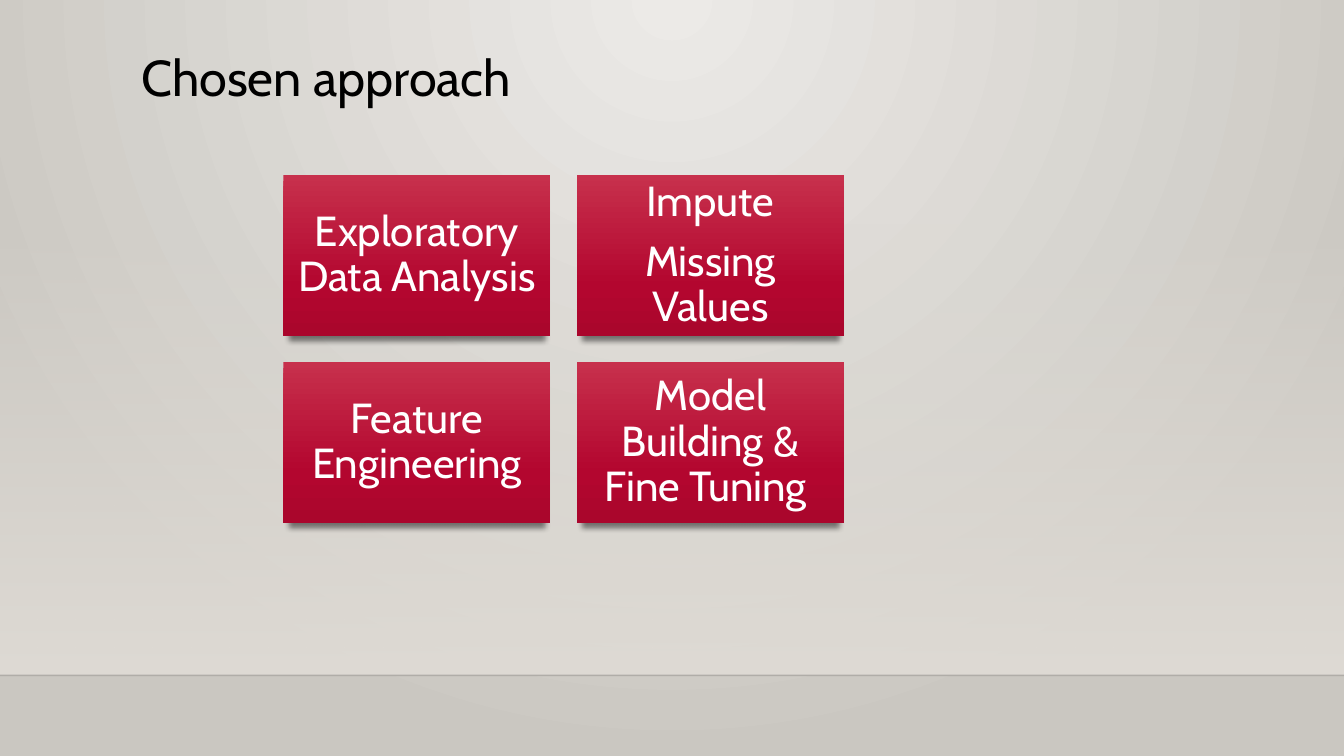
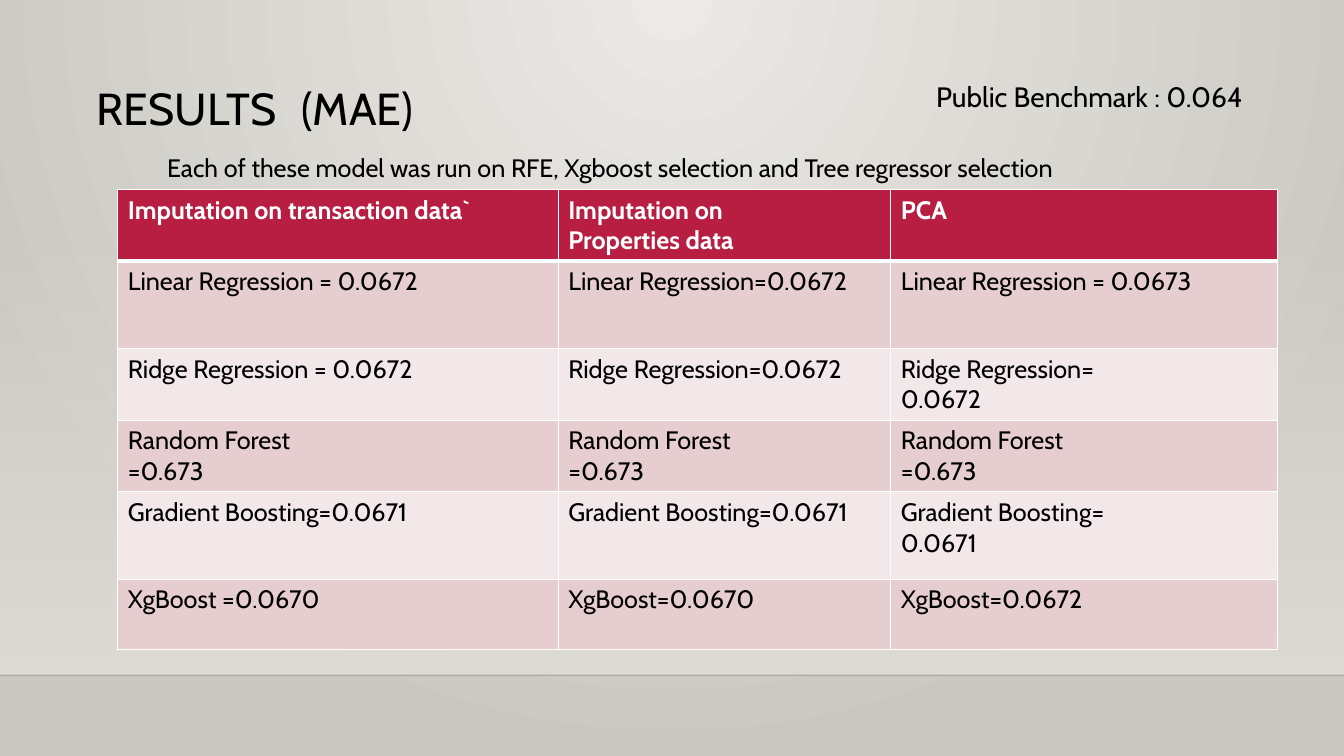
from lxml import etree
from pptx import Presentation
from pptx.dml.color import RGBColor
from pptx.enum.shapes import MSO_CONNECTOR, MSO_SHAPE
from pptx.enum.text import MSO_ANCHOR, MSO_AUTO_SIZE, PP_ALIGN
from pptx.oxml import parse_xml
from pptx.oxml.ns import nsdecls, qn
from pptx.util import Cm, Pt

RECTANGLE = MSO_SHAPE.RECTANGLE
STRAIGHT = MSO_CONNECTOR.STRAIGHT
TOP, MIDDLE = MSO_ANCHOR.TOP, MSO_ANCHOR.MIDDLE
LEFT, CENTER = PP_ALIGN.LEFT, PP_ALIGN.CENTER
NO_AUTOFIT = MSO_AUTO_SIZE.NONE

BLACK = RGBColor(0x00, 0x00, 0x00)
WHITE = RGBColor(0xFF, 0xFF, 0xFF)
WALL_LIGHT = RGBColor(0xEC, 0xEA, 0xE7)
WALL_DARK = RGBColor(0xCA, 0xC7, 0xC1)
GLOW = RGBColor(0xDF, 0xDB, 0xD5)
CARD_TOP = RGBColor(0xC7, 0x30, 0x4C)
CARD_MIDDLE = RGBColor(0xB3, 0x06, 0x2F)
CARD_BOTTOM = RGBColor(0xAA, 0x06, 0x2C)
CRIMSON = RGBColor(0xB7, 0x1E, 0x42)
ROSE = RGBColor(0xE6, 0xCD, 0xCF)
PALE_ROSE = RGBColor(0xF3, 0xE8, 0xE9)

BODY_FONT = "Cabin"
SPACER_FONT = "Comic Neue"
DOWNWARD = '<a:lin ang="5400000" scaled="0"/>'
FROM_TOP_CENTER = ('<a:path path="circle">'
                   '<a:fillToRect l="43000" r="43000" b="100000"/></a:path>')


def write(frame, text, size, color=BLACK, font=BODY_FONT, bold=False, align=LEFT,
          anchor=TOP, line_spacing=1.0, after=0, append=False):
    frame.word_wrap = True
    frame.vertical_anchor = anchor
    for line in text.split("\n"):
        paragraph = frame.paragraphs[-1]
        if paragraph.runs and not append:
            paragraph = frame.add_paragraph()
        paragraph.alignment = align
        paragraph.line_spacing = line_spacing
        paragraph.space_after = Pt(after)
        run = paragraph.add_run()
        run.text = line
        run.font.size = Pt(size)
        run.font.name = font
        run.font.bold = bold
        run.font.color.rgb = color


def paint_gradient(properties, stops, direction):
    stop_xml = "".join(
        f'<a:gs pos="{position * 1000}"><a:srgbClr val="{color}">'
        f'<a:alpha val="{opacity * 1000}"/></a:srgbClr></a:gs>'
        for position, color, opacity in stops)
    gradient = parse_xml(f'<a:gradFill {nsdecls("a")} rotWithShape="1">'
                         f'<a:gsLst>{stop_xml}</a:gsLst>{direction}</a:gradFill>')
    properties.replace(properties.find(qn("a:solidFill")), gradient)


deck = Presentation()
deck.slide_width, deck.slide_height = Cm(33.87), Cm(19.05)
master = deck.slide_master
title_only = deck.slide_layouts[5]

master.background.fill.solid()
paint_gradient(next(master.element.iter(qn("p:bgPr"))),
               [(0, WALL_LIGHT, 100), (100, WALL_DARK, 100)], FROM_TOP_CENTER)

approach = deck.slides.add_slide(title_only)
results = deck.slides.add_slide(title_only)

FLOOR = Cm(17.02)
glow = approach.shapes.add_shape(RECTANGLE, 0, Cm(5.61), deck.slide_width, FLOOR - Cm(5.61))
glow.shadow.inherit = False
glow.line.fill.background()
glow.fill.solid()
paint_gradient(glow.element.spPr, [(0, GLOW, 0), (100, GLOW, 100)], DOWNWARD)

floor_edge = approach.shapes.add_connector(STRAIGHT, 0, FLOOR, deck.slide_width, FLOOR)
floor_edge.line.color.rgb = BLACK
floor_edge.line.width = Pt(1)
edge_color = next(floor_edge.element.spPr.iter(qn("a:srgbClr")))
etree.SubElement(edge_color, qn("a:alpha"), val="20000")
etree.SubElement(floor_edge.element.spPr, qn("a:effectLst"))

first_on_master = master.shapes[0].element
for number, scenery in enumerate((glow, floor_edge), start=101):
    next(scenery.element.iter(qn("p:cNvPr"))).set("id", str(number))
    first_on_master.addprevious(scenery.element)

SPACER = " "
titles = [
    (approach, (3.3, 1.04, 18.47, 1.8), [("Chosen approach", 36, BODY_FONT)]),
    (results, (2.18, 1.12, 18.8, 2.57), [
        ("RESULTS", 32, BODY_FONT), (SPACER, 54, SPACER_FONT),
        ("(MAE) ", 32, BODY_FONT), (SPACER, 54, SPACER_FONT)]),
]
for slide, place, pieces in titles:
    title = slide.shapes.title
    title.left, title.top, title.width, title.height = map(Cm, place)
    title.text_frame.auto_size = NO_AUTOFIT
    for text, size, font in pieces:
        write(title.text_frame, text, size, font=font, append=True)

steps = ["Exploratory Data Analysis", "Impute\nMissing Values",
         "Feature Engineering", "Model Building & Fine Tuning "]
CARD_WIDTH, CARD_HEIGHT, CARD_GAP = 6.73, 4.04, 0.67
for index, step in enumerate(steps):
    row, column = divmod(index, 2)
    card = approach.shapes.add_shape(
        RECTANGLE,
        Cm(7.14 + column * (CARD_WIDTH + CARD_GAP)),
        Cm(4.42 + row * (CARD_HEIGHT + CARD_GAP)),
        Cm(CARD_WIDTH), Cm(CARD_HEIGHT))
    card.line.fill.background()
    card.fill.solid()
    paint_gradient(card.element.spPr, [(0, CARD_TOP, 100), (69, CARD_MIDDLE, 100),
                                       (100, CARD_BOTTOM, 100)], DOWNWARD)
    card.element.spPr.append(parse_xml(
        f'<a:effectLst {nsdecls("a")}><a:outerShdw blurRad="50800" dist="50800" '
        f'dir="5400000" sx="96000" sy="96000" rotWithShape="0"><a:srgbClr val="{BLACK}">'
        '<a:alpha val="48000"/></a:srgbClr></a:outerShdw></a:effectLst>'))
    frame = card.text_frame
    frame.margin_left = frame.margin_right = Cm(0.3)
    frame.margin_top = frame.margin_bottom = Cm(0.3)
    write(frame, step, 30, color=WHITE, align=CENTER, anchor=MIDDLE,
          line_spacing=0.9, after=10.5)

scores = [
    ["Imputation on transaction data`", "Imputation on\nProperties data", "PCA"],
    ["Linear Regression = 0.0672", "Linear Regression=0.0672", "Linear Regression = 0.0673"],
    ["Ridge Regression = 0.0672", "Ridge Regression=0.0672", "Ridge Regression=\n0.0672"],
    ["Random Forest\n=0.673"] * 3,
    ["Gradient Boosting=0.0671", "Gradient Boosting=0.0671", "Gradient Boosting=\n0.0671"],
    ["XgBoost =0.0670", "XgBoost=0.0670", "XgBoost=0.0672"],
]
column_widths = [11.1, 8.38, 9.75]
row_heights = [1.77, 2.2, 1.77, 1.77, 2.2, 1.77]
score_table = results.shapes.add_table(
    len(scores), len(column_widths), Cm(2.97), Cm(4.78),
    Cm(sum(column_widths)), Cm(sum(row_heights))).table
for column, width in zip(score_table.columns, column_widths):
    column.width = Cm(width)
for row, height in zip(score_table.rows, row_heights):
    row.height = Cm(height)

for row_index, row_scores in enumerate(scores):
    is_header = row_index == 0
    row_fill = CRIMSON if is_header else (ROSE if row_index % 2 else PALE_ROSE)
    edges = {"lnL": 1, "lnR": 1, "lnT": 3 if row_index == 1 else 1, "lnB": 3 if is_header else 1}
    for column_index, score in enumerate(row_scores):
        cell = score_table.cell(row_index, column_index)
        cell_properties = cell._tc.get_or_add_tcPr()
        for edge, width in edges.items():
            cell_properties.append(parse_xml(
                f'<a:{edge} {nsdecls("a")} w="{Pt(width)}"><a:solidFill>'
                f'<a:srgbClr val="{WHITE}"/></a:solidFill></a:{edge}>'))
        cell.fill.solid()
        cell.fill.fore_color.rgb = row_fill
        write(cell.text_frame, score, 18, color=WHITE if is_header else BLACK, bold=is_header)

remarks = [
    ("Public Benchmark : 0.064", 20, (23.34, 1.88, 8.86, 1.12)),
    ("Each of these model was run on RFE, Xgboost selection and Tree regressor selection",
     18, (3.96, 3.71, 22.86, 1.02)),
]
for remark, size, place in remarks:
    write(results.shapes.add_textbox(*map(Cm, place)).text_frame, remark, size)

deck.save("out.pptx")
